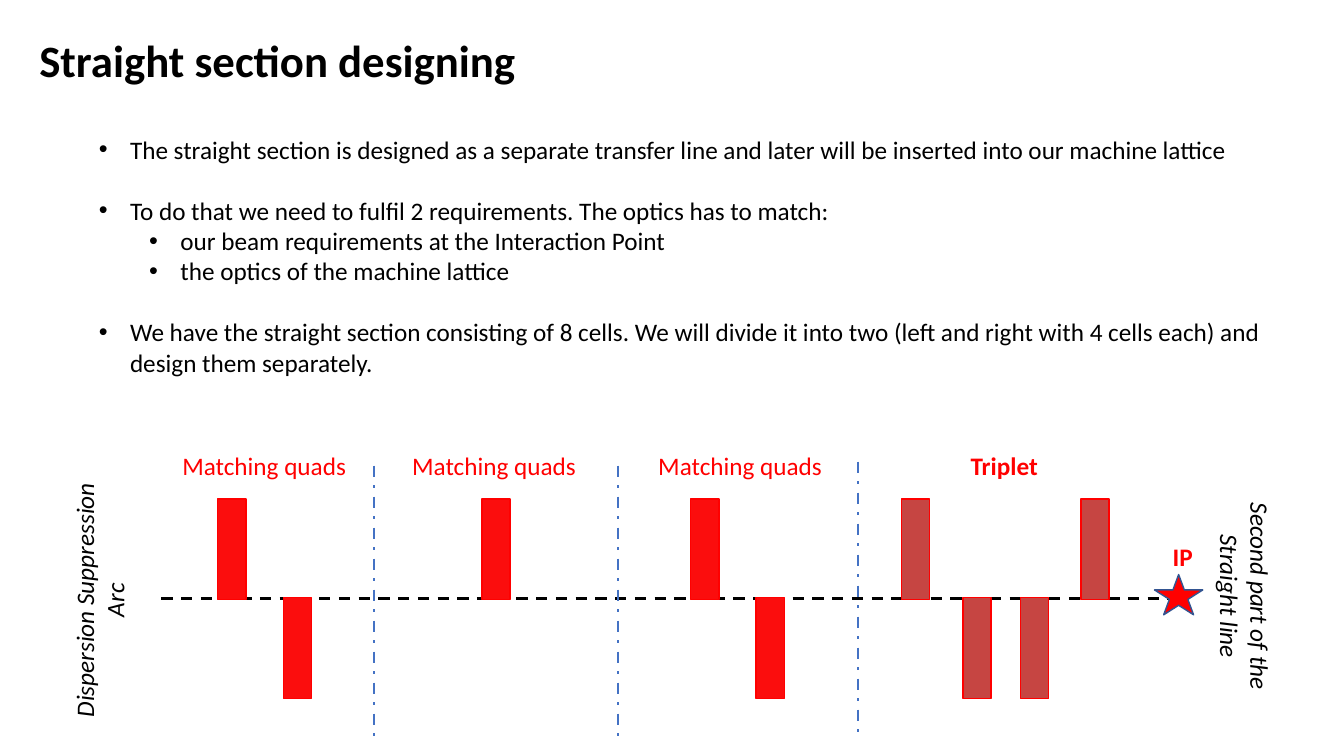
from dataclasses import dataclass

from pptx import Presentation
from pptx.dml.color import RGBColor
from pptx.enum.dml import MSO_LINE
from pptx.enum.shapes import MSO_CONNECTOR, MSO_SHAPE
from pptx.enum.text import MSO_ANCHOR, MSO_AUTO_SIZE, PP_ALIGN
from pptx.oxml.ns import qn
from pptx.util import Inches, Pt
from lxml.etree import SubElement

GRID = 0.1  # inches per column and per row


@dataclass(frozen=True)
class Theme:
    """Font, type sizes and colours of the slide."""
    font: str = "Calibri"
    title_size: int = 32
    text_size: int = 18
    ink: str = "000000"
    red: str = "FF0000"
    matching: str = "FB0D0D"
    triplet: str = "C64542"
    star_edge: str = "325491"
    divider: str = "4472C4"


@dataclass(frozen=True)
class Box:
    """An area measured in grid columns and rows."""
    left: float
    top: float
    width: float
    height: float

    def inside(self, left, top, width, height):
        """Return a box offset from this box's corner."""
        return Box(self.left + left, self.top + top, width, height)

    def lengths(self):
        """Return left, top, width and height as slide lengths."""
        return [Inches(GRID * n) for n in (self.left, self.top, self.width, self.height)]


@dataclass(frozen=True)
class Cell:
    """One lattice cell: label centre, quads as (column, above axis), divider start."""
    label: str
    centre: float
    quads: tuple
    divider: tuple = ()
    is_triplet: bool = False


THEME = Theme()
QUAD_WIDTH, QUAD_HEIGHT, AXIS_ROW = 2.8, 10, 15.4
CELLS = (
    Cell("Matching quads", 10.2, ((5.6, True), (12.1, False)), (21.1, 2.2)),
    Cell("Matching quads", 33, ((31.8, True),), (45.3, 2.2)),
    Cell("Matching quads", 57.4, ((52.5, True), (59, False)), (69.1, 1.8)),
    Cell("Triplet", 83.6, ((73.4, True), (79.5, False), (85.2, False), (91.2, True)),
         is_triplet=True),
)
BULLETS = (  # text, level, blank space above in points
    ("The straight section is designed as a separate transfer line and later "
     "will be inserted into our machine lattice", 0, 0),
    ("To do that we need to fulfil 2 requirements. The optics has to match:", 0, 22),
    ("our beam requirements at the Interaction Point", 1, 0),
    ("the optics of the machine lattice", 1, 0),
    ("We have the straight section consisting of 8 cells. We will divide it into two "
     "(left and right with 4 cells each) and design them separately.", 0, 22),
)


def move(shape, box):
    """Set a shape's place and size from a box."""
    shape.left, shape.top, shape.width, shape.height = box.lengths()


def write(shape, text, size=THEME.text_size, color=THEME.ink, bold=False,
          italic=False, align=PP_ALIGN.CENTER, wrap=True):
    """Fill a shape with evenly formatted text."""
    frame = shape.text_frame
    frame.text = text
    frame.word_wrap = wrap
    frame.auto_size = MSO_AUTO_SIZE.NONE
    frame.vertical_anchor = MSO_ANCHOR.TOP
    for para in frame.paragraphs:
        para.alignment = align
        for span in para.runs:
            font = span.font
            font.name, font.size = THEME.font, Pt(size)
            font.bold, font.italic = bold, italic
            font.color.rgb = RGBColor.from_string(color)


def add_label(page, box, text, rotation=0, **style):
    """Add a text box, turned if asked."""
    label = page.shapes.add_textbox(*box.lengths())
    label.rotation = rotation
    write(label, text, **style)


def add_mark(page, box, kind, fill, edge):
    """Add a filled preset shape with a thin outline."""
    mark = page.shapes.add_shape(kind, *box.lengths())
    mark.shadow.inherit = False
    mark.fill.solid()
    mark.fill.fore_color.rgb = RGBColor.from_string(fill)
    mark.line.color.rgb = RGBColor.from_string(edge)
    mark.line.width = Pt(1)


def add_rule(page, box, color, dash):
    """Add a dashed line from the box's first corner to its last."""
    left, top, width, height = box.lengths()
    rule = page.shapes.add_connector(MSO_CONNECTOR.STRAIGHT, left, top,
                                     left + width, top + height)
    rule.line.color.rgb = RGBColor.from_string(color)
    rule.line.width = Pt(2)
    rule.line.dash_style = dash
    SubElement(rule._element.spPr, qn("a:effectLst"))


def place_title(page, box):
    """Write the slide title."""
    title = page.shapes.title
    move(title, box)
    write(title, "Straight section designing", THEME.title_size, bold=True,
          align=PP_ALIGN.LEFT)


def place_bullets(page, box):
    """Write the two-level list in the body placeholder."""
    body = page.placeholders[1]
    move(body, box)
    write(body, "\n".join(text for text, _, _ in BULLETS), align=PP_ALIGN.LEFT)
    for para, (_, level, gap) in zip(body.text_frame.paragraphs, BULLETS):
        para.level = level
        para.space_before, para.space_after = Pt(gap), Pt(0)
        props = para._p.get_or_add_pPr()
        props.set("marL", str(Inches(0.31 + 0.5 * level)))
        props.set("indent", str(Inches(-0.31)))
        SubElement(props, qn("a:buFont"), typeface="Arial")
        SubElement(props, qn("a:buChar"), char="•")


def place_cell(page, box, cell):
    """Draw one cell's quads, label and closing divider."""
    fill = THEME.triplet if cell.is_triplet else THEME.matching
    for column, is_above in cell.quads:
        top = AXIS_ROW - (QUAD_HEIGHT - 0.1 if is_above else 0.1)
        add_mark(page, box.inside(column, top, QUAD_WIDTH, QUAD_HEIGHT),
                 MSO_SHAPE.RECTANGLE, fill, THEME.red)
    if cell.divider:
        add_rule(page, box.inside(*cell.divider, 0, 26.8), THEME.divider, MSO_LINE.DASH_DOT)
    add_label(page, box.inside(cell.centre - 9.2, 0.2, 18.4, 4), cell.label,
              color=THEME.red, bold=cell.is_triplet)


def place_beamline(page, box):
    """Draw the beam axis, its cells, the interaction point and both neighbours."""
    add_rule(page, box.inside(0, AXIS_ROW, box.width, 0), THEME.ink, MSO_LINE.DASH)
    for cell in CELLS:
        place_cell(page, box, cell)
    add_mark(page, box.inside(98.5, 13, 4.8, 4), MSO_SHAPE.STAR_5_POINT,
             THEME.red, THEME.star_edge)
    add_label(page, box.inside(97.7, 9.2, 7.2, 4), "IP", color=THEME.red, bold=True)
    add_label(page, box.inside(-19, 12, 25.8, 7.1), "Dispersion Suppression\nArc",
              rotation=270, italic=True, wrap=False)
    add_label(page, box.inside(97.1, 11.6, 20.7, 7.1), "Second part of the\nStraight line",
              rotation=90, italic=True, wrap=False)


def build():
    """Build and save the deck."""
    deck = Presentation()
    deck.slide_width, deck.slide_height = Inches(13.33), Inches(7.5)
    page = deck.slides.add_slide(deck.slide_layouts[1])
    place_title(page, Box(2.9, 2.7, 59.8, 6.4))
    place_bullets(page, Box(8.8, 12.8, 121.5, 25.2))
    place_beamline(page, Box(16, 44, 100.4, 29))
    deck.save("out.pptx")


build()
